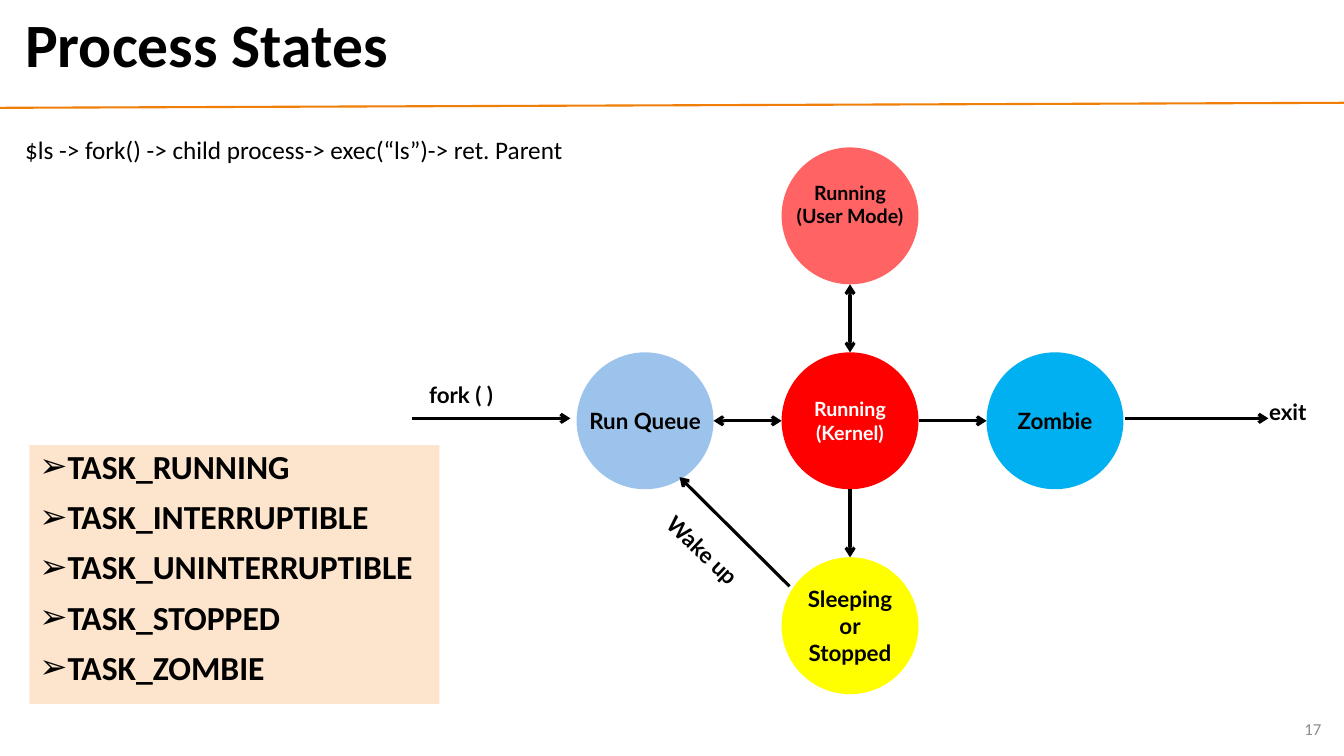
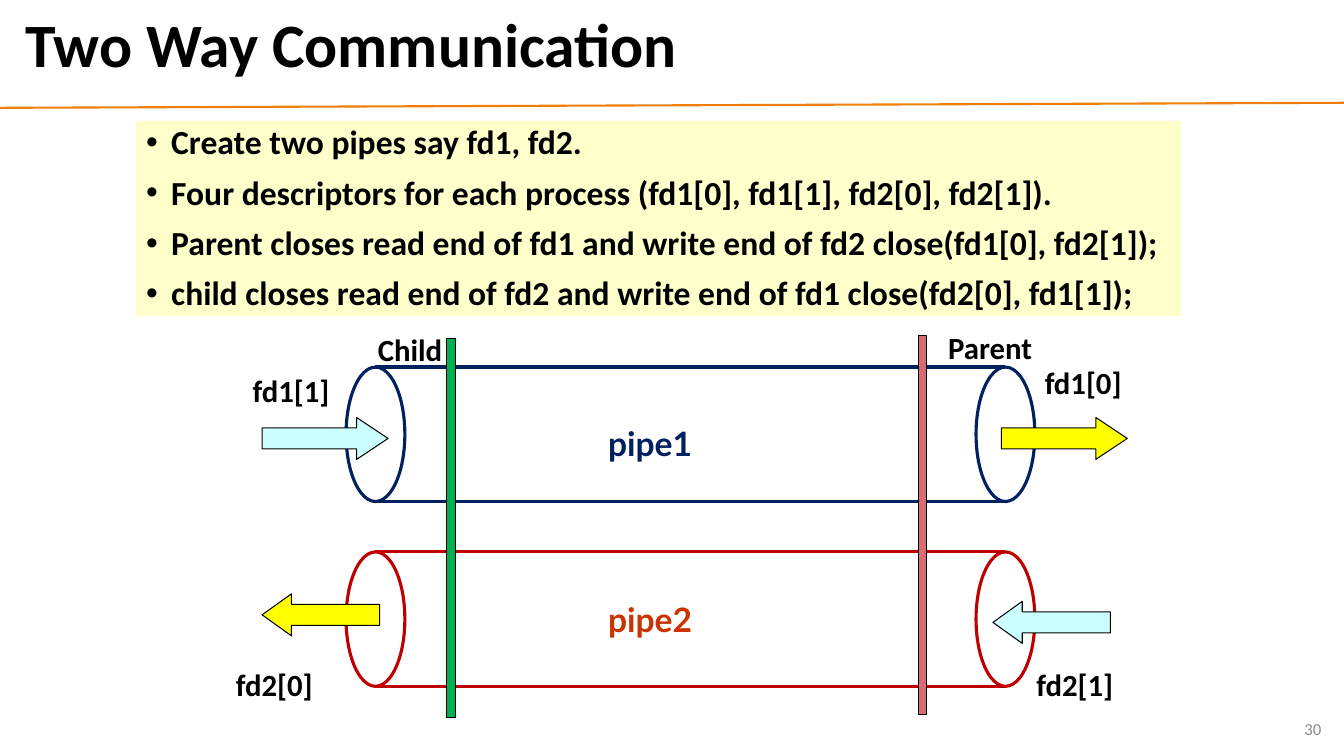
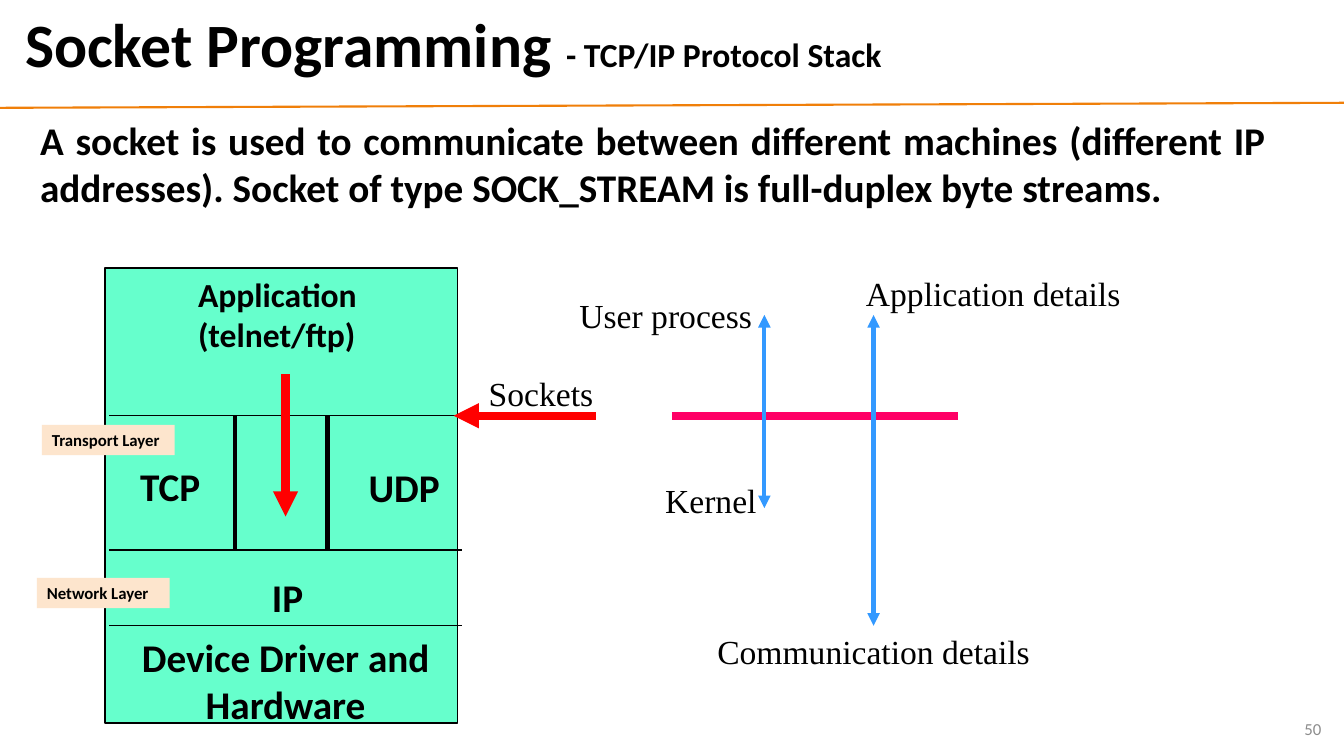
from dataclasses import dataclass
from math import hypot

from lxml.etree import SubElement
from pptx import Presentation
from pptx.dml.color import RGBColor as RGB
from pptx.enum.shapes import MSO_CONNECTOR as CXN, MSO_SHAPE as SHAPE
from pptx.enum.text import MSO_ANCHOR as ANCHOR, PP_ALIGN as ALIGN
from pptx.oxml.ns import qn
from pptx.util import Emu, Pt

COLS, ROWS = 160, 90
UNIT = 76200


@dataclass(frozen=True)
class Theme:
    body: str = "Calibri"
    diagram: str = "Lato"
    serif: str = "Times New Roman"
    black: str = "000000"
    white: str = "FFFFFF"
    grey: str = "8C8C8C"
    rule: str = "F07F09"
    peach: str = "FDE5CD"
    cream: str = "FFFFCC"
    red: str = "FF0000"
    blue: str = "0066CC"
    cyan: str = "00B0F0"
    yellow: str = "FFFF00"
    navy: str = "002060"
    crimson: str = "C00000"
    rust: str = "CC3300"
    green: str = "00B050"
    rose: str = "D96B77"
    ice: str = "CCFFFF"
    mint: str = "66FFCC"
    pink: str = "FF0066"
    sky: str = "3399FF"
    title: int = 44
    lead: int = 28
    large: int = 24
    label: int = 22
    normal: int = 18
    state: int = 16
    small: int = 14
    tiny: int = 12


T = Theme()


def grid(*cells):
    return [Emu(round(c * UNIT)) for c in cells]


def apply(obj, fmt):
    for key, value in fmt.items():
        setattr(obj, key, value)


def style(size, name=T.body, color=T.black, bold=True):
    return {"size": Pt(size), "name": name, "bold": bold, "color": color}


def add_run(p, text, look):
    r = p.add_run()
    r.text = text
    apply(r.font, {k: v for k, v in look.items() if k != "color"})
    r.font.color.rgb = RGB.from_string(look["color"])


def write(sp, lines, look, para=None, frame=None, bullet=None):
    tf = sp.text_frame
    apply(tf, {"word_wrap": True, "vertical_anchor": ANCHOR.TOP, **(frame or {})})
    for i, line in enumerate(lines):
        p = tf.add_paragraph() if i else tf.paragraphs[0]
        if bullet:
            pPr = p._p.get_or_add_pPr()
            pPr.set("marL", str(3 * UNIT))
            pPr.set("indent", str(-3 * UNIT))
            SubElement(pPr, qn("a:buFont"), typeface="Arial")
            SubElement(pPr, qn("a:buChar"), char=bullet)
        apply(p, {"alignment": ALIGN.LEFT, **(para or {})})
        if bullet and i:
            p.space_before = Pt(10)
        add_run(p, line, look)


def label(s, box, text, look, **kw):
    sp = s.shapes.add_textbox(*grid(*box))
    write(sp, [text], look, **kw)
    return sp


def shape(s, kind, box, fill=None, line=None, width=0.75, alpha=None, adj=()):
    sp = s.shapes.add_shape(kind, *grid(*box))
    sp.shadow.inherit = False
    for i, value in enumerate(adj):
        sp.adjustments[i] = value
    if fill:
        sp.fill.solid()
        sp.fill.fore_color.rgb = RGB.from_string(fill)
        if alpha:
            clr = sp.fill._xPr.find(qn("a:solidFill"))[0]
            SubElement(clr, qn("a:alpha"), val=str(alpha * 1000))
    else:
        sp.fill.background()
    if line:
        sp.line.color.rgb = RGB.from_string(line)
        sp.line.width = Pt(width)
    else:
        sp.line.fill.background()
    return sp


def line(s, start, end, color=T.black, width=1, head=None, tail=None):
    cx = s.shapes.add_connector(CXN.STRAIGHT, *grid(*start, *end))
    cx.line.color.rgb = RGB.from_string(color)
    cx.line.width = Pt(width)
    for tag, kind in (("a:headEnd", head), ("a:tailEnd", tail)):
        if kind:
            SubElement(cx.line._ln, qn(tag), type=kind)
    SubElement(cx._element.spPr, qn("a:effectLst"))


def panel(s, box, fill, items, bullet):
    sp = shape(s, SHAPE.RECTANGLE, box, fill)
    write(sp, items, style(T.large), {"line_spacing": 0.9}, bullet=bullet)


def new_slide(prs, title, number, subtitle=None):
    s = prs.slides.add_slide(prs.slide_layouts[6])
    line(s, (0, 12.84), (COLS, 12.24), T.rule, 1.5)
    middle = {"vertical_anchor": ANCHOR.MIDDLE}
    sp = label(s, (1.8, 0.6, 154.7, 10), title, style(T.title),
               para={"line_spacing": 0.9}, frame=middle)
    if subtitle:
        add_run(sp.text_frame.paragraphs[0], subtitle, style(T.large))
    label(s, (122.5, 84.4, 36, 4.8), number, style(T.tiny, color=T.grey, bold=False),
          para={"alignment": ALIGN.RIGHT}, frame=middle)
    return s


def state(s, centre, size, lines, fill, look, alpha=None, lift=0):
    x, y = centre
    sp = shape(s, SHAPE.OVAL, (x - size / 2, y - size / 2, size, size), fill, alpha=alpha)
    frame = dict.fromkeys(("margin_left", "margin_right", "margin_top"), 0)
    write(sp, lines, look, {"alignment": ALIGN.CENTER},
          {**frame, "margin_bottom": Pt(lift), "word_wrap": False,
           "vertical_anchor": ANCHOR.MIDDLE})


def link(s, a, b, size, head=None):
    dx, dy = b[0] - a[0], b[1] - a[1]
    share = size / 2 / hypot(dx, dy)
    line(s, (a[0] + dx * share, a[1] + dy * share),
         (b[0] - dx * share, b[1] - dy * share), width=2.25, head=head, tail="arrow")


def process_states(prs):
    s = new_slide(prs, "Process States", "17")
    x, y, pitch, size = 101.2, 50.1, 24.4, 16.3
    kernel, user, sleep = (x, y), (x, y - pitch), (x, y + pitch)
    queue, zombie = (x - pitch, y), (x + pitch, y)
    look = style(T.state, T.diagram)
    small = style(T.small, T.diagram)
    state(s, user, size, ["Running", "(User Mode)"], T.red, small, 61, T.small * 1.2)
    state(s, zombie, size, ["Zombie"], T.cyan, look)
    state(s, sleep, size, ["Sleeping", "or", "Stopped"], T.yellow, look)
    state(s, queue, size, ["Run Queue"], T.blue, look, 39)
    state(s, kernel, size, ["Running", "(Kernel)"], T.red, {**small, "color": T.white})
    for target, head in ((user, "arrow"), (zombie, None), (sleep, None), (queue, "arrow")):
        link(s, kernel, target, size, head)

    for start, end in (((94, 69.8), (80.9, 56.8)),
                       ((133.9, 49.8), (151, 49.8)),
                       ((49, 49.8), (67.9, 49.8))):
        line(s, start, end, width=2.25, tail="arrow")
    label(s, (76.8, 64.4, 16, 4.4), "Wake up", look).rotation = 43.4
    label(s, (149.9, 46.8, 10, 4.4), "exit", look)
    label(s, (49.9, 44.8, 14, 4.4), "fork ( )", look)

    panel(s, (3.5, 53, 48.8, 30.8), T.peach,
          ["TASK_RUNNING", "TASK_INTERRUPTIBLE", "TASK_UNINTERRUPTIBLE",
           "TASK_STOPPED", "TASK_ZOMBIE"], "➢")
    label(s, (1.8, 15.4, 66.7, 4.8),
          "$ls -> fork() -> child process-> exec(“ls”)-> ret. Parent",
          style(T.normal, bold=False))


def pipe(s, top, color):
    left, span, w, h = 41.2, 75, 7, 16
    for y in (top, top + h):
        line(s, (left + w / 2, y), (left + span + w / 2, y), color, 2.25)
    for x in (left, left + span):
        shape(s, SHAPE.OVAL, (x, top, w, h), line=color, width=2.25)


def two_way(prs):
    s = new_slide(prs, "Two Way Communication", "30")
    for top, color in ((65.7, T.crimson), (43.7, T.navy)):
        pipe(s, top, color)
    for x, y, fill in ((53.2, 40.3, T.green), (109.3, 40, T.rose)):
        shape(s, SHAPE.RECTANGLE, (x, y, 1, 45.1), fill, T.black)

    right, left = (SHAPE.RIGHT_ARROW, 15, 0.75), (SHAPE.LEFT_ARROW, 14, 0.7)
    for (kind, w, tip), x, y, fill in ((right, 119.2, 49.7, T.yellow),
                                       (right, 31.2, 49.7, T.ice),
                                       (left, 118.2, 71.6, T.ice),
                                       (left, 31.2, 70.7, T.yellow)):
        shape(s, kind, (x, y, w, 5), fill, T.black, adj=(0.5, tip))

    for text, x, y in (("fd1[0]", 123.2, 42.7), ("fd2[1]", 122.2, 78.7),
                       ("fd1[1]", 28.9, 43.7), ("fd2[0]", 26.9, 78.7),
                       ("Child", 43.8, 38.8), ("Parent", 111.7, 38.6)):
        label(s, (x, y, 15, 5.6), text, style(T.label))
    for text, y, color in (("pipe1", 49.7, T.navy), ("pipe2", 70.7, T.rust)):
        label(s, (71.2, y, 16, 6), text, style(T.large, T.diagram, color))

    panel(s, (16.2, 14.4, 124.4, 23.2), T.cream,
          ["Create two pipes say fd1, fd2.",
           "Four descriptors for each process (fd1[0], fd1[1], fd2[0], fd2[1]).",
           "Parent closes read end of fd1 and write end of fd2 close(fd1[0], fd2[1]);",
           "child closes read end of fd2 and write end of fd1 close(fd2[0], fd1[1]);"],
          "•")


def socket_stack(prs):
    s = new_slide(prs, "Socket Programming ", "50", "- TCP/IP Protocol Stack")
    lead = style(T.lead)
    centred = {"alignment": ALIGN.CENTER}
    label(s, (3.6, 13.3, 148.2, 12.5),
          "A socket is used to communicate between different machines (different IP "
          "addresses). Socket of type SOCK_STREAM is full-duplex byte streams.",
          lead, para={"alignment": ALIGN.JUSTIFY})

    socket, network, driver = 49.5, 65.5, 74.5
    shape(s, SHAPE.RECTANGLE, (12.5, 31.9, 42, 54.2), T.mint, T.black, 1)
    for y in (socket, network, driver):
        line(s, (13, y), (55, y))
    for x in (28, 39):
        line(s, (x, socket), (x, network), width=3)
    line(s, (54, socket), (71, socket), T.red, 6, head="triangle")
    line(s, (34, 61.5), (34, 44.5), T.red, 6, head="triangle")
    line(s, (80, socket), (114, socket), T.pink, 6)
    for x, end in ((91, 60.5), (104, driver)):
        line(s, (x, 37.5), (x, end), T.sky, 3, "triangle", "triangle")

    for text, x, y, w, para in (("Sockets", 57, 43.8, 16, None),
                                ("User process", 67.8, 34.5, 25.2, None),
                                ("Kernel", 78, 56.5, 16, None),
                                ("Application details", 101.9, 31.9, 34, None),
                                ("Communication details", 79, 74.5, 50, centred)):
        label(s, (x, y, w, 6), text, style(T.large, T.serif, bold=False), para=para)

    label(s, (22.4, 32, 23.8, 10.9), "Application (telnet/ftp)", style(T.large))
    for text, x, y in (("TCP", 15.5, 54.4), ("UDP", 42.7, 54.6), ("IP", 31.2, 67.7)):
        label(s, (x, y, 11.5, 6.8), text, lead)
    label(s, (14.7, 74.8, 38.6, 12.5), "Device Driver and Hardware", lead, para=centred)
    for text, x, y in (("Transport Layer", 5, 50.6), ("Network Layer", 4.4, 68.8)):
        sp = shape(s, SHAPE.RECTANGLE, (x, y, 15.8, 3.6), T.peach)
        write(sp, [text], style(T.tiny))


def main():
    prs = Presentation()
    prs.slide_width, prs.slide_height = grid(COLS, ROWS)
    for build in (process_states, two_way, socket_stack):
        build(prs)
    prs.save("out.pptx")


if __name__ == "__main__":
    main()
